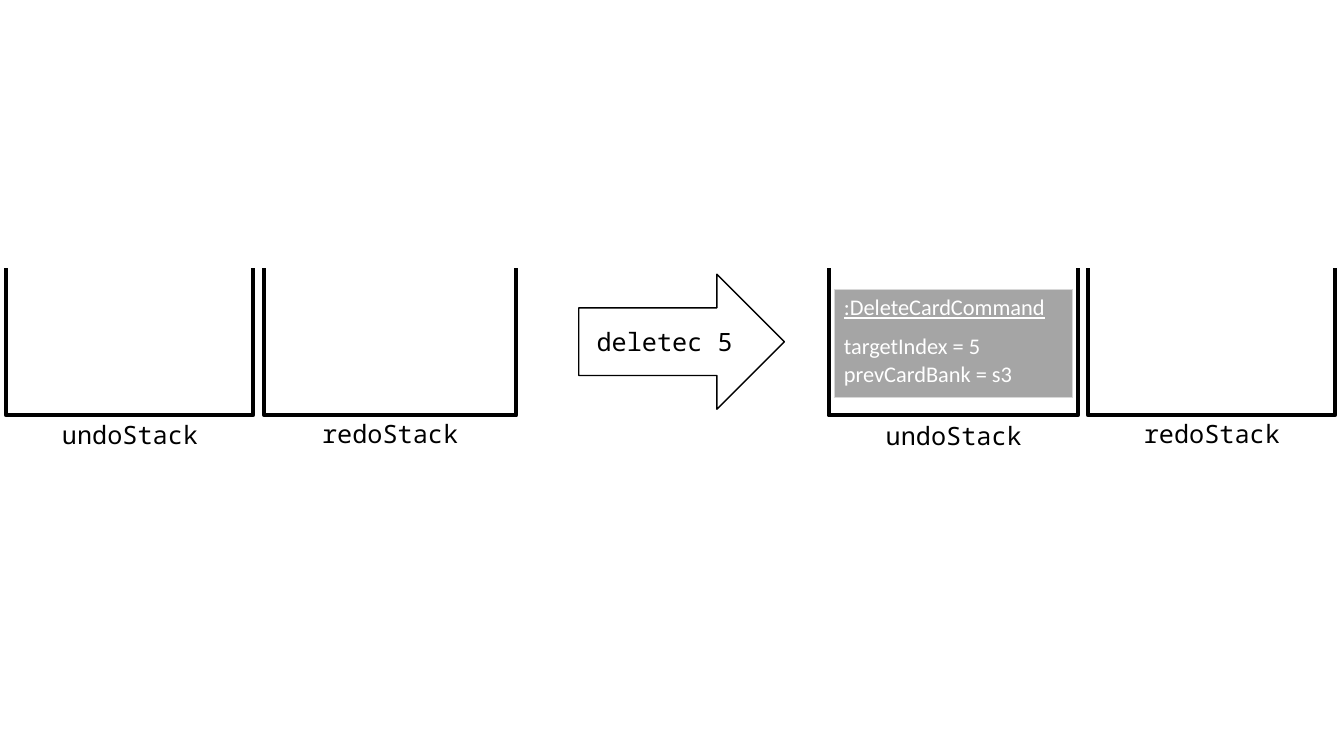
from lxml import etree
from pptx import Presentation
from pptx.dml.color import RGBColor
from pptx.enum.shapes import MSO_SHAPE as SHAPE
from pptx.enum.text import MSO_ANCHOR as ANCHOR, PP_ALIGN as ALIGN
from pptx.oxml.ns import qn
from pptx.util import Inches, Pt

BLACK = RGBColor(0x00, 0x00, 0x00)
WHITE = RGBColor(0xFF, 0xFF, 0xFF)
GRAY = RGBColor(0xA5, 0xA5, 0xA5)
BORDER = RGBColor(0xD8, 0xD8, 0xD8)
MONO = "Noto Sans Mono"
STACK_TOP, STACK_BOTTOM = 2.66, 4.12

presentation = Presentation()
presentation.slide_width = Inches(13.33)
presentation.slide_height = Inches(7.5)
slide = presentation.slides.add_slide(presentation.slide_layouts[6])


def add_run(paragraph, text, font, size, color):
    run = paragraph.add_run()
    run.text = text
    run.font.name = font
    run.font.size = Pt(size)
    run.font.color.rgb = color
    return run


def add_mono_shape(kind, box, text, line_color, line_width, anchor):
    shape = slide.shapes.add_shape(kind, *map(Inches, box))
    shape.shadow.inherit = False
    shape.fill.background()
    shape.line.color.rgb = line_color
    shape.line.width = Pt(line_width)
    frame = shape.text_frame
    frame.word_wrap = True
    frame.vertical_anchor = anchor
    frame.paragraphs[0].alignment = ALIGN.CENTER
    add_run(frame.paragraphs[0], text, MONO, 18, BLACK)


# Stack names
for left, top, name in [(-0.14, 4.11, "undoStack"), (2.44, 4.1, "redoStack"),
                        (8.03, 4.12, "undoStack"), (10.59, 4.1, "redoStack")]:
    add_mono_shape(SHAPE.RECTANGLE, (left, top, 2.86, 0.4), name,
                   WHITE, 0.75, ANCHOR.TOP)

# Command arrow
add_mono_shape(SHAPE.RIGHT_ARROW, (5.74, 2.72, 2.04, 1.34), "deletec 5",
               BLACK, 1, ANCHOR.MIDDLE)

# Command object on the undo stack
table = slide.shapes.add_table(2, 1, Inches(8.27), Inches(2.87),
                               Inches(2.37), Inches(1.07)).table
table.first_row = False
table.horz_banding = False
command_rows = [
    (0.39, [":DeleteCardCommand"], True, ("lnL", "lnR", "lnT")),
    (0.68, ["targetIndex = 5", "prevCardBank = s3"], False, ("lnL", "lnR", "lnB")),
]
for index, (height, lines, underline, outer_edges) in enumerate(command_rows):
    table.rows[index].height = Inches(height)
    cell = table.cell(index, 0)
    frame = cell.text_frame
    for number, text in enumerate(lines):
        paragraph = frame.add_paragraph() if number else frame.paragraphs[0]
        run = add_run(paragraph, text, "Calibri", 16, WHITE)
        run.font.underline = underline
    properties = cell._tc.get_or_add_tcPr()
    for edge in ("lnL", "lnR", "lnT", "lnB"):
        line = etree.SubElement(properties, qn(f"a:{edge}"), w=str(Pt(0.5)))
        if edge in outer_edges:
            fill = etree.SubElement(line, qn("a:solidFill"))
            etree.SubElement(fill, qn("a:srgbClr"), val=str(BORDER))
        else:
            etree.SubElement(line, qn("a:noFill"))
    cell.fill.solid()
    cell.fill.fore_color.rgb = GRAY

# Open-topped stacks
for left, right in [(8.22, 10.69), (10.79, 13.24), (2.62, 5.12), (0.06, 2.51)]:
    builder = slide.shapes.build_freeform(Inches(left), Inches(STACK_TOP))
    corners = [(left, STACK_BOTTOM), (right, STACK_BOTTOM), (right, STACK_TOP)]
    builder.add_line_segments([(Inches(x), Inches(y)) for x, y in corners],
                              close=False)
    stack = builder.convert_to_shape()
    stack.shadow.inherit = False
    stack.fill.background()
    stack.line.color.rgb = BLACK
    stack.line.width = Pt(3)

presentation.save("out.pptx")
